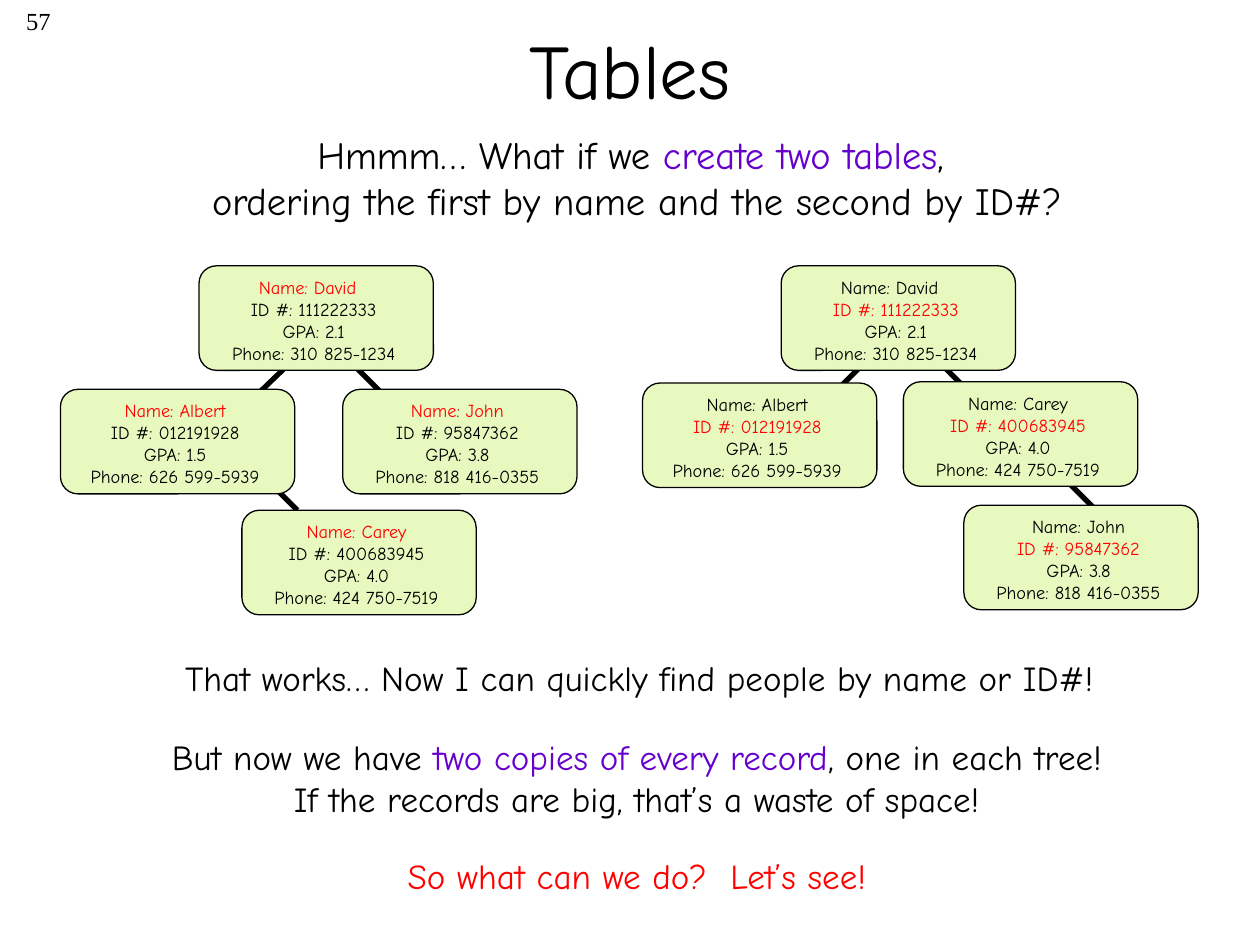
from dataclasses import dataclass

from lxml.etree import SubElement
from pptx import Presentation
from pptx.dml.color import RGBColor
from pptx.enum.shapes import MSO_CONNECTOR, MSO_SHAPE
from pptx.enum.text import MSO_ANCHOR, MSO_AUTO_SIZE, PP_ALIGN
from pptx.oxml.ns import qn
from pptx.util import Inches, Pt

BLACK, RED, DARK_RED, PURPLE, GREEN = "000000", "FF0000", "A50021", "6600CC", "E7F9BF"
CARD_WIDTH, CARD_HEIGHT = 1.86, 0.83

Run = tuple[str, str]
Box = tuple[float, float, float, float]


@dataclass(frozen=True)
class Student:
    name: str
    id_number: str
    gpa: str
    phone: str


@dataclass(frozen=True)
class Node:
    student: Student
    left: float
    top: float
    colon: str = RED


@dataclass(frozen=True)
class Edge:
    """A branch, from its lower end to its upper end."""
    x1: float
    y1: float
    x2: float
    y2: float


@dataclass(frozen=True)
class Tree:
    key: str
    edges: list[Edge]
    nodes: list[Node]


DAVID = Student("David  ", "111222333", "2.1", "310 825-1234")
ALBERT = Student("Albert", "012191928", "1.5", "626 599-5939")
JOHN = Student("John", "95847362", "3.8", "818 416-0355")
CAREY = Student("Carey", "400683945", "4.0", "424 750-7519")

TREES = [
    Tree(
        "name",
        [Edge(3.11, 3.2, 2.83, 2.92), Edge(1.96, 3.21, 2.25, 2.93), Edge(2.36, 4.05, 2.08, 3.77)],
        [
            Node(DAVID, 1.58, 2.11),
            Node(JOHN, 2.72, 3.09, DARK_RED),
            Node(CAREY, 1.92, 4.05),
            Node(ALBERT, 0.48, 3.09, DARK_RED),
        ],
    ),
    Tree(
        "id",
        [Edge(7.73, 3.15, 7.45, 2.87), Edge(6.59, 3.15, 6.87, 2.87), Edge(8.72, 4.07, 8.44, 3.79)],
        [
            Node(DAVID, 6.2, 2.11),
            Node(JOHN, 7.65, 4.01),
            Node(CAREY, 7.17, 3.03),
            Node(ALBERT, 5.1, 3.04),
        ],
    ),
]


def rgb(color: str) -> RGBColor:
    return RGBColor.from_string(color)


def add_text(shapes, box: Box, paragraphs: list[list[Run]], *, size: float,
             font: str = "Comic Neue", align=PP_ALIGN.CENTER,
             anchor=MSO_ANCHOR.TOP, grow: bool = True) -> None:
    """Add a text box; a newline inside a run becomes a line break."""
    frame = shapes.add_textbox(*map(Inches, box)).text_frame
    frame.word_wrap = True
    frame.vertical_anchor = anchor
    frame.auto_size = MSO_AUTO_SIZE.SHAPE_TO_FIT_TEXT if grow else MSO_AUTO_SIZE.NONE
    for index, runs in enumerate(paragraphs):
        paragraph = frame.add_paragraph() if index else frame.paragraphs[0]
        paragraph.alignment = align
        for text, color in runs:
            for part, line in enumerate(text.split("\n")):
                if part:
                    paragraph.add_line_break()
                run = paragraph.add_run()
                run.text = line
                run.font.name = font
                run.font.size = Pt(size)
                run.font.color.rgb = rgb(color)


def add_edge(shapes, edge: Edge) -> None:
    ends = map(Inches, (edge.x1, edge.y1, edge.x2, edge.y2))
    branch = shapes.add_connector(MSO_CONNECTOR.STRAIGHT, *ends)
    branch.line.color.rgb = rgb(BLACK)
    branch.line.width = Pt(3)
    SubElement(branch._element.spPr, qn("a:effectLst"))


def add_node(shapes, node: Node, key: str) -> None:
    card = shapes.add_shape(MSO_SHAPE.ROUNDED_RECTANGLE, Inches(node.left), Inches(node.top),
                            Inches(CARD_WIDTH), Inches(CARD_HEIGHT))
    card.shadow.inherit = False
    card.fill.solid()
    card.fill.fore_color.rgb = rgb(GREEN)
    card.line.color.rgb = rgb(BLACK)
    card.line.width = Pt(0.75)

    student = node.student
    if key == "name":
        name_runs = [("Name", RED), (": ", node.colon), (student.name, RED)]
    else:
        name_runs = [(f"Name: {student.name}", BLACK)]
    add_text(
        shapes,
        (node.left - 0.04, node.top + 0.03, 1.9, 0.81),
        [
            name_runs,
            [(f"ID #: {student.id_number}", RED if key == "id" else BLACK)],
            [(f"GPA: {student.gpa}", BLACK)],
            [(f"Phone: {student.phone}", BLACK)],
        ],
        size=10.5,
    )


def add_tree(shapes, tree: Tree) -> None:
    group = shapes.add_group_shape().shapes
    for edge in tree.edges:
        add_edge(group, edge)
    for node in tree.nodes:
        add_node(group, node, tree.key)


def main() -> None:
    deck = Presentation()
    deck.slide_width, deck.slide_height = Inches(10), Inches(7.5)
    shapes = deck.slides.add_slide(deck.slide_layouts[6]).shapes

    add_text(shapes, (-1.58, 0, 2.08, 0.5), [[("57", BLACK)]], size=14,
             font="Times New Roman", align=PP_ALIGN.RIGHT, grow=False)
    add_text(shapes, (0.75, -0.08, 8.5, 1.25), [[("Tables", BLACK)]], size=44,
             anchor=MSO_ANCHOR.MIDDLE, grow=False)
    add_text(shapes, (0.11, 0.99, 9.89, 0.84), [[
        ("Hmmm… What if we ", BLACK),
        ("create two tables", PURPLE),
        (", \nordering the first by name and the second by ID#?", BLACK),
    ]], size=22)

    for tree in TREES:
        add_tree(shapes, tree)

    add_text(shapes, (0.62, 5.16, 8.91, 0.44),
             [[("That works… Now I can quickly find people by name or ID#!", BLACK)]], size=20)
    add_text(shapes, (0.6, 5.79, 8.91, 0.77), [[
        ("But now we have ", BLACK),
        ("two copies of every record", PURPLE),
        (", one in each tree!\nIf the records are big, that’s a waste of space!", BLACK),
    ]], size=20)
    add_text(shapes, (0.6, 6.73, 8.91, 0.44),
             [[("So what can we do?  Let’s see!", RED)]], size=20)

    deck.save("out.pptx")


if __name__ == "__main__":
    main()
